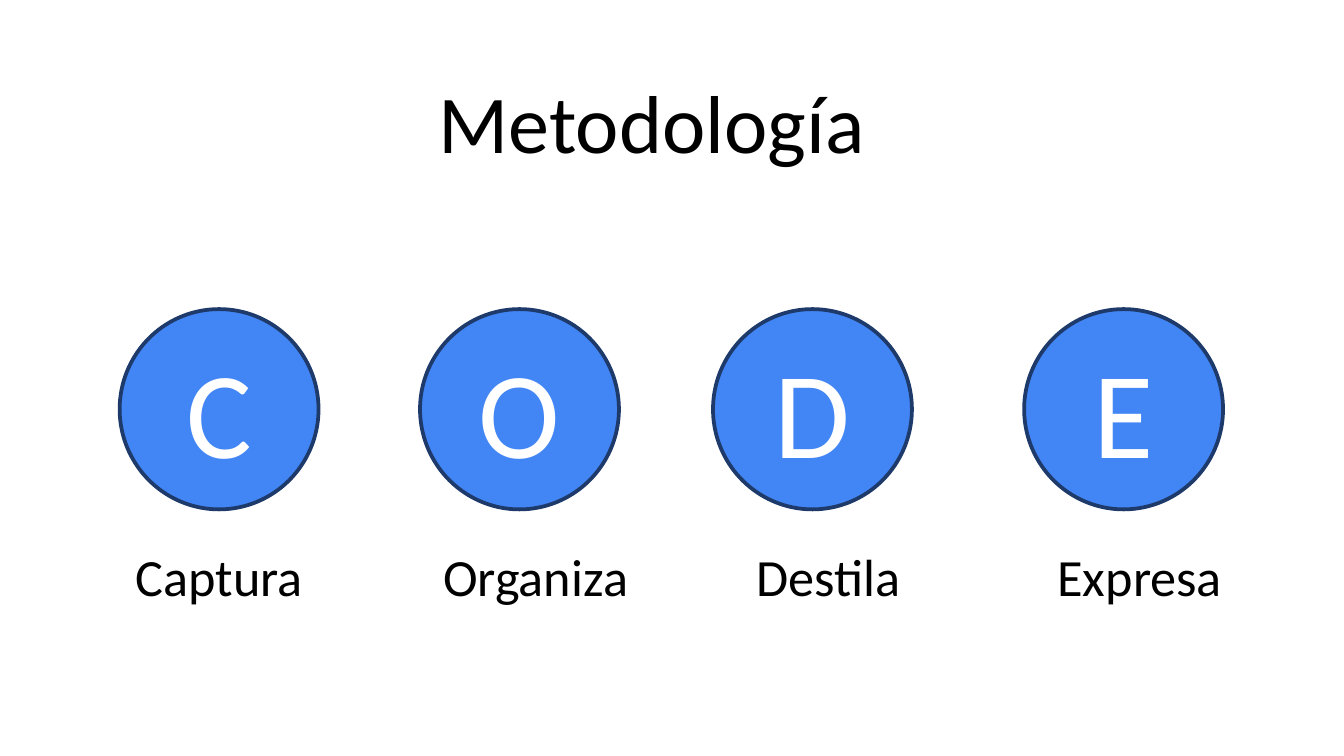
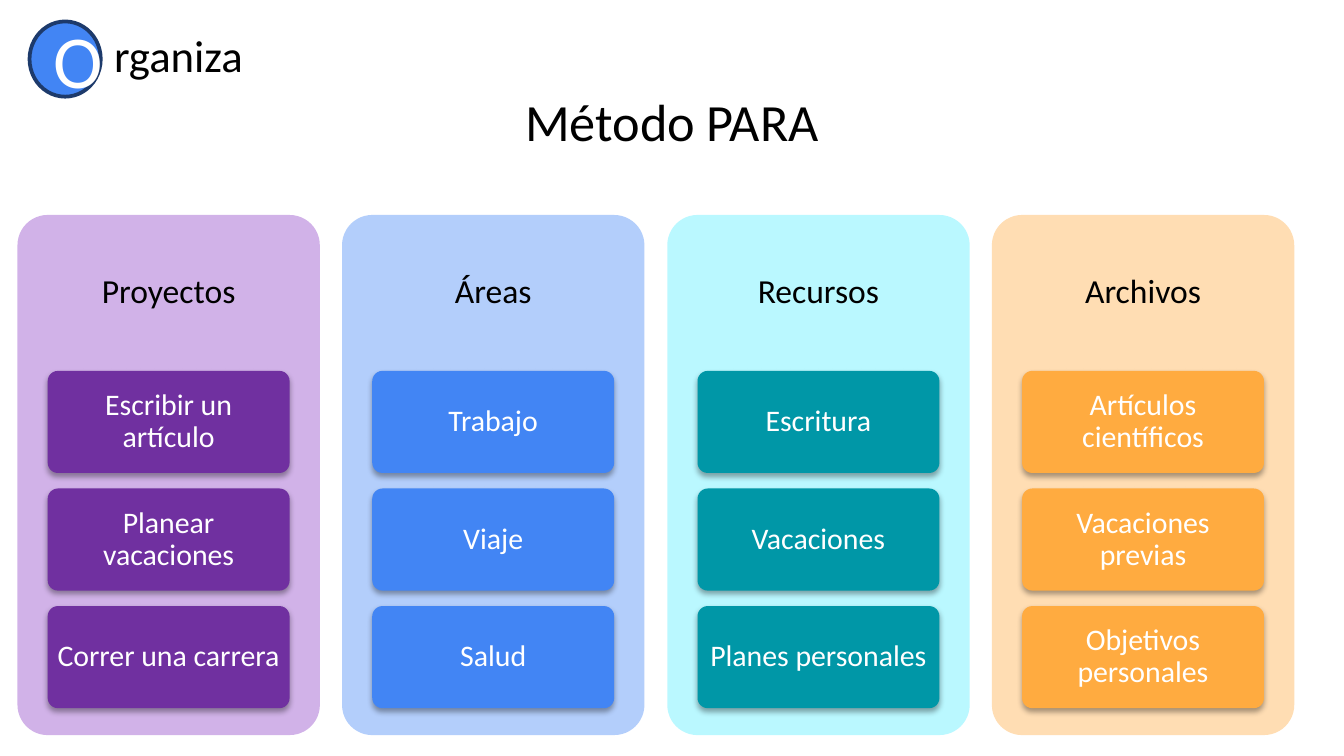
from dataclasses import dataclass

from lxml.etree import SubElement
from pptx import Presentation
from pptx.dml.color import RGBColor
from pptx.enum.shapes import MSO_SHAPE as Preset
from pptx.enum.text import MSO_ANCHOR as Anchor, MSO_AUTO_SIZE as AutoSize, PP_ALIGN as Align
from pptx.oxml.ns import qn
from pptx.shapes.autoshape import Shape
from pptx.slide import Slide
from pptx.util import Emu, Pt

EMU_PER_PX = 4572  # 200 px to the inch
TITLE_ONLY = 5


@dataclass(frozen=True)
class Theme:
    font: str = "Calibri"
    black: str = "000000"
    white: str = "FFFFFF"
    blue: str = "4285F4"
    navy: str = "1D3A6B"
    outline: int = 2
    title: int = 44
    subtitle: int = 28
    initial: int = 66
    label: int = 28
    badge: int = 40
    badge_label: int = 24
    heading: int = 18
    card: int = 16


@dataclass(frozen=True)
class Box:
    left: int
    top: int
    width: int
    height: int

    def emu(self) -> tuple[Emu, ...]:
        return tuple(px(side) for side in (self.left, self.top, self.width, self.height))


@dataclass(frozen=True)
class Step:
    name: str
    left: int
    label_width: int


@dataclass(frozen=True)
class Category:
    name: str
    panel_color: str
    card_color: str
    examples: tuple[str, ...]


THEME = Theme()

STEPS = (
    Step("Captura", 178, 296),
    Step("Organiza", 625, 344),
    Step("Destila", 1061, 344),
    Step("Expresa", 1524, 344),
)

CATEGORIES = (
    Category("Proyectos", "D1B2E8", "7030A0",
             ("Escribir un artículo", "Planear vacaciones", "Correr una carrera")),
    Category("Áreas", "B3CEFB", THEME.blue, ("Trabajo", "Viaje", "Salud")),
    Category("Recursos", "BAF8FF", "0097A7",
             ("Escritura", "Vacaciones", "Planes personales")),
    Category("Archivos", "FFDDB3", "FFAB40",
             ("Artículos científicos", "Vacaciones previas", "Objetivos personales")),
)


def px(length: int) -> Emu:
    return Emu(length * EMU_PER_PX)


def rgb(color: str) -> RGBColor:
    return RGBColor.from_string(color)


def distribute(first: int, last: int, count: int) -> list[int]:
    """Return evenly spaced positions from first to last."""
    return [round(first + (last - first) * index / (count - 1)) for index in range(count)]


def write(shape: Shape, text: str, *, size: int, color: str = THEME.black,
          align: Align = Align.CENTER, anchor: Anchor = Anchor.TOP,
          insets: tuple[int, int] = (20, 10), line_spacing: float = 1.0,
          auto_size: AutoSize = AutoSize.NONE) -> None:
    """Fill a shape with one paragraph; insets are horizontal and vertical."""
    frame = shape.text_frame
    frame.text = text
    frame.word_wrap = True
    frame.auto_size = auto_size
    frame.vertical_anchor = anchor
    frame.margin_left = frame.margin_right = px(insets[0])
    frame.margin_top = frame.margin_bottom = px(insets[1])
    paragraph = frame.paragraphs[0]
    paragraph.alignment = align
    paragraph.line_spacing = line_spacing
    font = paragraph.runs[0].font
    font.name = THEME.font
    font.size = Pt(size)
    font.color.rgb = rgb(color)


def add_text(slide: Slide, box: Box, text: str, **text_format) -> None:
    write(slide.shapes.add_textbox(*box.emu()), text, **text_format)


def add_titled_slide(presentation: Presentation, title: str, box: Box, size: int) -> Slide:
    slide = presentation.slides.add_slide(presentation.slide_layouts[TITLE_ONLY])
    placeholder = slide.shapes.title
    placeholder.left, placeholder.top, placeholder.width, placeholder.height = box.emu()
    write(placeholder, title, size=size, auto_size=AutoSize.SHAPE_TO_FIT_TEXT)
    return slide


def add_initial(slide: Slide, box: Box, letter: str, size: int) -> None:
    circle = slide.shapes.add_shape(Preset.OVAL, *box.emu())
    circle.shadow.inherit = False
    circle.fill.solid()
    circle.fill.fore_color.rgb = rgb(THEME.blue)
    circle.line.color.rgb = rgb(THEME.navy)
    circle.line.width = Pt(THEME.outline)
    write(circle, letter, size=size, color=THEME.white, anchor=Anchor.MIDDLE)


def add_rounded(slide: Slide, box: Box, color: str) -> Shape:
    shape = slide.shapes.add_shape(Preset.ROUNDED_RECTANGLE, *box.emu())
    shape.adjustments[0] = 0.1
    shape.shadow.inherit = False
    shape.fill.solid()
    shape.fill.fore_color.rgb = rgb(color)
    shape.line.fill.background()
    return shape


def add_soft_shadow(shape: Shape) -> None:
    effects = shape.element.spPr.find(qn("a:effectLst"))
    shadow = SubElement(effects, qn("a:outerShdw"), blurRad=str(Pt(3.1)), dist=str(Pt(1.8)),
                        dir="5400000", algn="ctr", rotWithShape="0")
    color = SubElement(shadow, qn("a:srgbClr"), val=THEME.black)
    SubElement(color, qn("a:alpha"), val="35000")


def add_category(slide: Slide, category: Category, left: int) -> None:
    add_rounded(slide, Box(left, 320, 450, 774), category.panel_color)
    add_text(slide, Box(left, 320, 450, 232), category.name, size=THEME.heading,
             anchor=Anchor.MIDDLE, insets=(14, 14), line_spacing=0.9)
    tops = distribute(552, 902, len(category.examples))
    for top, example in zip(tops, category.examples):
        card = add_rounded(slide, Box(left + 45, top, 360, 152), category.card_color)
        add_soft_shadow(card)
        write(card, example, size=THEME.card, color=THEME.white, anchor=Anchor.MIDDLE,
              insets=(8, 6), line_spacing=0.9)


def build_methodology(presentation: Presentation) -> None:
    slide = add_titled_slide(presentation, "Metodología", Box(606, 96, 728, 168), THEME.title)
    for step in STEPS:
        add_initial(slide, Box(step.left, 460, 296, 298), step.name[0], THEME.initial)
        add_text(slide, Box(step.left, 800, step.label_width, 114), step.name,
                 size=THEME.label, auto_size=AutoSize.SHAPE_TO_FIT_TEXT)


def build_para_method(presentation: Presentation) -> None:
    slide = add_titled_slide(presentation, "Método PARA", Box(572, 123, 856, 114),
                             THEME.subtitle)
    for left, category in zip(distribute(26, 1476, len(CATEGORIES)), CATEGORIES):
        add_category(slide, category, left)
    add_initial(slide, Box(44, 32, 106, 112), "O", THEME.badge)
    add_text(slide, Box(150, 32, 316, 100), "rganiza", size=THEME.badge_label,
             align=Align.LEFT, auto_size=AutoSize.SHAPE_TO_FIT_TEXT)


def main() -> None:
    presentation = Presentation()
    presentation.slide_width = px(2000)
    presentation.slide_height = px(1125)
    build_methodology(presentation)
    build_para_method(presentation)
    presentation.save("out.pptx")


if __name__ == "__main__":
    main()
